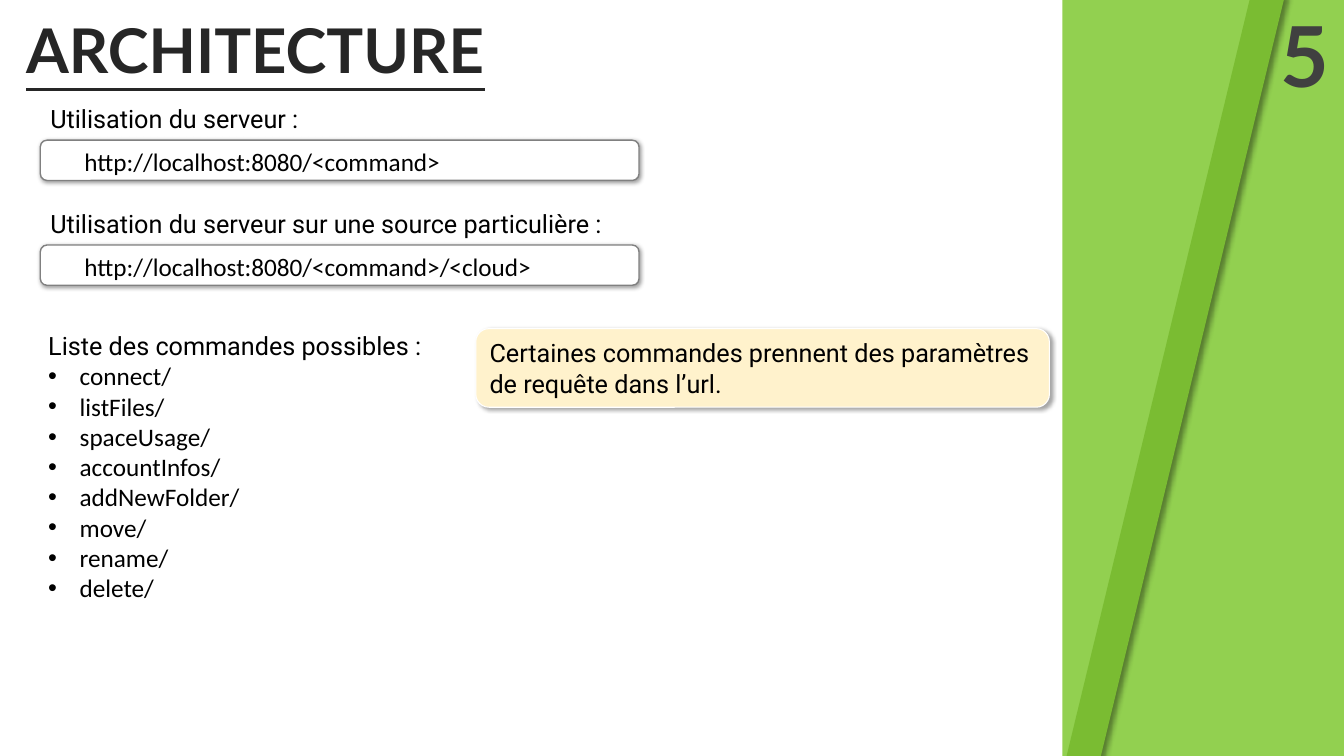
"""Build the ARCHITECTURE slide describing the server's URLs and commands."""
from lxml.etree import SubElement
from pptx import Presentation
from pptx.dml.color import RGBColor
from pptx.enum.shapes import MSO_SHAPE
from pptx.enum.text import MSO_ANCHOR, PP_ALIGN
from pptx.oxml.ns import qn
from pptx.util import Inches, Pt

THEME = {
    "panel": "92D050", "band": "7ABC32", "title": "262626", "number": "404040",
    "text": "000000", "box": "FFFFFF", "box_line": "808080",
    "callout": "FFF2CC", "callout_line": "FFFFFF", "shadow": "000000",
    "title_size": 44, "body_size": 18, "number_size": 60,
    "display_font": "Lato", "label_font": "Roboto", "code_font": "Calibri",
}

presentation = Presentation()
presentation.slide_width, presentation.slide_height = Inches(13.33), Inches(7.5)
COLUMN = presentation.slide_width / 100
ROW = presentation.slide_height / 100
slide = presentation.slides.add_slide(presentation.slide_layouts[6])


def add_block(shapes, place, kind=None, fill=None, line=None, shadow=None):
    """Add a preset shape, or a text box without kind, at a grid place."""
    left, top, width, height = place
    frame = [int(left * COLUMN), int(top * ROW), int(width * COLUMN), int(height * ROW)]
    if kind is None:
        shape = shapes.add_textbox(*frame)
    else:
        shape = shapes.add_shape(kind, *frame)
        shape.shadow.inherit = False
        shape.fill.solid()
        shape.fill.fore_color.rgb = RGBColor.from_string(THEME[fill])
        if line:
            color, width = line
            shape.line.color.rgb = RGBColor.from_string(THEME[color])
            shape.line.width = Pt(width)
        else:
            shape.line.fill.background()
        if shadow:
            opacity, blur, distance, angle = shadow
            effects = shape.element.spPr.find(qn("a:effectLst"))
            outer = SubElement(effects, qn("a:outerShdw"), blurRad=str(Pt(blur)),
                               dist=str(Pt(distance)), dir=str(angle * 60000),
                               algn="tl", rotWithShape="0")
            color = SubElement(outer, qn("a:srgbClr"), val=THEME["shadow"])
            SubElement(color, qn("a:alpha"), val=str(opacity * 1000))
    shape.text_frame.word_wrap = True
    return shape


def add_text(paragraph, text, font, size="body_size", color="text", bold=False):
    """Add one styled run to a left-aligned paragraph and return the run."""
    paragraph.alignment = PP_ALIGN.LEFT
    run = paragraph.add_run()
    run.text = text
    run.font.name = THEME[font]
    run.font.size = Pt(THEME[size])
    run.font.color.rgb = RGBColor.from_string(THEME[color])
    run.font.bold = bold
    return run


add_block(slide.shapes, (79.05, 0, 20.95, 100), MSO_SHAPE.RECTANGLE, "panel")
band = add_block(slide.shapes, (86.18, -2.27, 2.48, 104.93), MSO_SHAPE.RECTANGLE,
                 "band", shadow=(40, 4, 3, 0))
band.rotation = 13.6

title = add_block(slide.shapes, (1.2, 2, 86.25, 11.87)).text_frame.paragraphs[0]
title.line_spacing = 0.9
add_text(title, "ARCHITECTURE", "display_font", "title_size", "title", True).font.underline = True

usages = [
    ("Utilisation du serveur :", "http://localhost:8080/<command>"),
    ("Utilisation du serveur sur une source particulière :",
     "http://localhost:8080/<command>/<cloud>"),
]
for index, (label, address) in enumerate(usages):
    top = 13.07 + index * 13.87
    heading = add_block(slide.shapes, (3, top, 42.68, 5.33))
    add_text(heading.text_frame.paragraphs[0], label, "label_font")
    group = slide.shapes.add_group_shape()
    add_block(group.shapes, (3, top + 5.47, 44.55, 5.33), MSO_SHAPE.ROUNDED_RECTANGLE,
              "box", ("box_line", 1), (40, 3, 1, 45))
    url = add_block(group.shapes, (5.55, top + 5.6, 37.28, 5.33))
    add_text(url.text_frame.paragraphs[0], address, "code_font")

commands = add_block(slide.shapes, (2.85, 43.07, 42.68, 41.73)).text_frame
add_text(commands.paragraphs[0], "Liste des commandes possibles :", "label_font")
for command in ("connect/", "listFiles/", "spaceUsage/", "accountInfos/",
                "addNewFolder/", "move/", "rename/", "delete/"):
    paragraph = commands.add_paragraph()
    add_text(paragraph, command, "code_font")
    properties = paragraph._p.get_or_add_pPr()
    indent = int(2.34 * COLUMN)
    properties.set("marL", str(indent))
    properties.set("indent", str(-indent))
    SubElement(properties, qn("a:buFont"), typeface="Arial")
    SubElement(properties, qn("a:buChar"), char="•")

callout = add_block(slide.shapes, (35.4, 43.47, 42.68, 10.4), MSO_SHAPE.ROUNDED_RECTANGLE,
                    "callout", ("callout_line", 0.75), (35, 3, 2, 45)).text_frame
callout.vertical_anchor = MSO_ANCHOR.MIDDLE
add_text(callout.paragraphs[0],
         "Certaines commandes prennent des paramètres de requête dans l’url.", "label_font")

number = add_block(slide.shapes, (85.73, 4.4, 13.88, 5.33)).text_frame
number.vertical_anchor = MSO_ANCHOR.MIDDLE
add_text(number.paragraphs[0], "5", "display_font", "number_size", "number", True)
number.paragraphs[0].alignment = PP_ALIGN.RIGHT

presentation.save("out.pptx")
